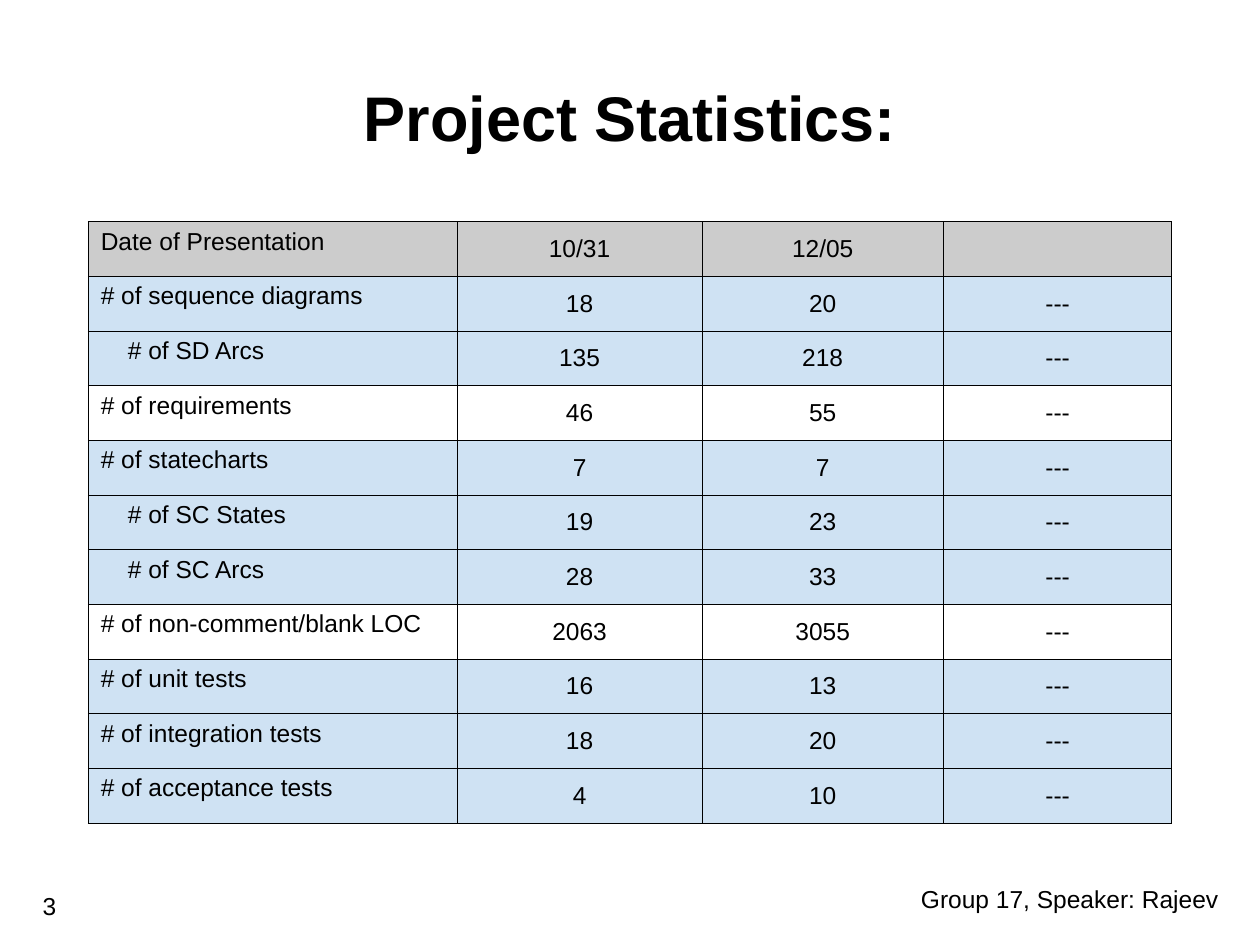
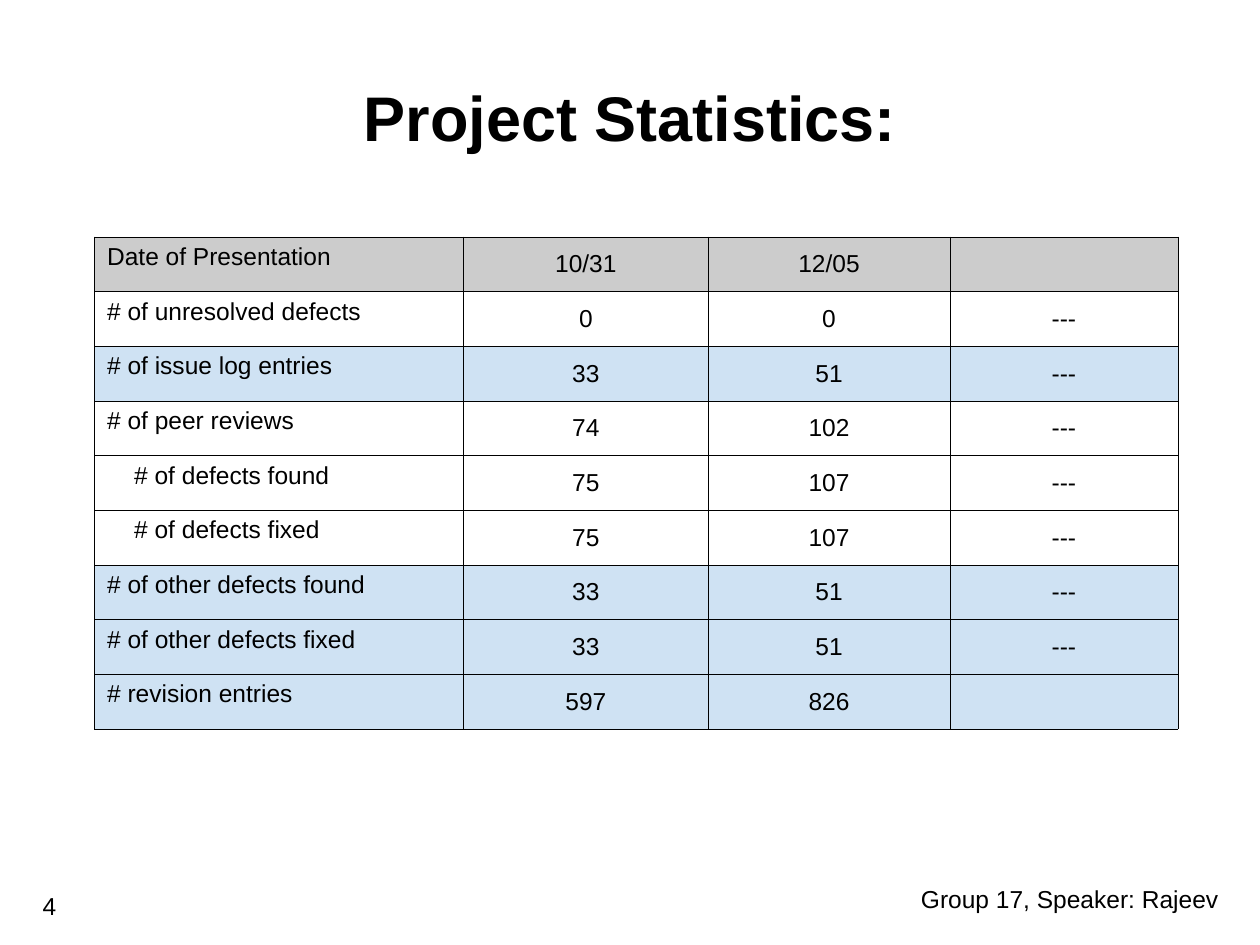
from dataclasses import dataclass

from lxml import etree
from pptx import Presentation
from pptx.dml.color import RGBColor
from pptx.enum.text import MSO_ANCHOR, MSO_AUTO_SIZE, PP_ALIGN
from pptx.oxml.ns import qn
from pptx.util import Inches, Pt

LEFT, CENTER, RIGHT = PP_ALIGN.LEFT, PP_ALIGN.CENTER, PP_ALIGN.RIGHT
TOP, MIDDLE = MSO_ANCHOR.TOP, MSO_ANCHOR.MIDDLE
FIXED, GROW = MSO_AUTO_SIZE.NONE, MSO_AUTO_SIZE.SHAPE_TO_FIT_TEXT
TITLE_ONLY = 5
GRID_COLUMNS, GRID_ROWS = 100, 75


@dataclass(frozen=True)
class Theme:
    font: str = "Arial"
    ink: str = "000000"
    header: str = "CCCCCC"
    shade: str = "CFE2F3"
    title_size: int = 36
    body_size: int = 14
    border: float = 0.34


@dataclass(frozen=True)
class Statistic:
    label: str
    october: int
    december: int
    shaded: bool = True
    nested: bool = False
    upcoming: str = "---"


DATES = ("Date of Presentation", "10/31", "12/05", "")
TABLE_COLUMNS = (29.3, 19.4, 19.2, 18.1)
TABLE_ROW = 4.34
NESTED_INDENT = 2.15

ARTIFACTS = (
    Statistic("# of sequence diagrams", 18, 20),
    Statistic("# of SD Arcs", 135, 218, nested=True),
    Statistic("# of requirements", 46, 55, shaded=False),
    Statistic("# of statecharts", 7, 7),
    Statistic("# of SC States", 19, 23, nested=True),
    Statistic("# of SC Arcs", 28, 33, nested=True),
    Statistic("# of non-comment/blank LOC", 2063, 3055, shaded=False),
    Statistic("# of unit tests", 16, 13),
    Statistic("# of integration tests", 18, 20),
    Statistic("# of acceptance tests", 4, 10),
)
DEFECTS = (
    Statistic("# of unresolved defects", 0, 0, shaded=False),
    Statistic("# of issue log entries", 33, 51),
    Statistic("# of peer reviews", 74, 102, shaded=False),
    Statistic("# of defects found", 75, 107, shaded=False, nested=True),
    Statistic("# of defects fixed", 75, 107, shaded=False, nested=True),
    Statistic("# of other defects found", 33, 51),
    Statistic("# of other defects fixed", 33, 51),
    Statistic("# revision entries", 597, 826, upcoming=""),
)


class Deck:
    """Builds slides on a 100 by 75 grid in one theme."""

    def __init__(self, theme):
        self.theme = theme
        self.presentation = Presentation()
        self.presentation.slide_width = Inches(10)
        self.presentation.slide_height = Inches(7.5)
        self.slide = None

    def x(self, columns):
        return round(self.presentation.slide_width * columns / GRID_COLUMNS)

    def y(self, rows):
        return round(self.presentation.slide_height * rows / GRID_ROWS)

    def box(self, left, top, width, height):
        return self.x(left), self.y(top), self.x(width), self.y(height)

    def add_text(self, frame, text, align=LEFT, size=None, bold=False):
        paragraph = frame.paragraphs[0]
        paragraph.alignment = align
        if text:
            run = paragraph.add_run()
            run.text = text
            run.font.name = self.theme.font
            run.font.size = Pt(size or self.theme.body_size)
            run.font.bold = bold
            run.font.color.rgb = RGBColor.from_string(self.theme.ink)

    def fit(self, frame, anchor, auto_size, vertical_inset):
        frame.word_wrap = True
        frame.auto_size = auto_size
        frame.vertical_anchor = anchor
        frame.margin_left = frame.margin_right = self.x(1)
        frame.margin_top = frame.margin_bottom = self.y(vertical_inset)

    def title(self, text):
        layout = self.presentation.slide_layouts[TITLE_ONLY]
        self.slide = self.presentation.slides.add_slide(layout)
        title = self.slide.shapes.title
        title.left, title.top, title.width, title.height = self.box(5, 3, 90, 12.5)
        self.fit(title.text_frame, MIDDLE, FIXED, 1)
        self.add_text(title.text_frame, text, CENTER, self.theme.title_size, True)

    def note(self, text, left, top, width, height, align=LEFT, vertical_inset=1):
        note = self.slide.shapes.add_textbox(*self.box(left, top, width, height))
        self.fit(note.text_frame, TOP, GROW, vertical_inset)
        self.add_text(note.text_frame, text, align)

    def footer(self, number):
        self.note("Group 17, Speaker: Rajeev", 70.9, 69.2, 26.8, 4.3, RIGHT)
        self.note(str(number), 2.4, 70.2, 4.4, 3.4, vertical_inset=0.5)

    def outline(self, cell):
        properties = cell._tc.get_or_add_tcPr()
        for side in ("a:lnL", "a:lnR", "a:lnT", "a:lnB"):
            line = etree.SubElement(properties, qn(side), w=str(Pt(self.theme.border)))
            fill = etree.SubElement(line, qn("a:solidFill"))
            etree.SubElement(fill, qn("a:srgbClr"), val=self.theme.ink)

    def table_row(self, cells, texts, color, nested=False):
        for column, (cell, text) in enumerate(zip(cells, texts)):
            self.outline(cell)
            if color:
                cell.fill.solid()
                cell.fill.fore_color.rgb = RGBColor.from_string(color)
            else:
                cell.fill.background()
            cell.vertical_anchor = MIDDLE if column else TOP
            if nested and column == 0:
                cell.margin_left = self.x(1 + NESTED_INDENT)
            self.add_text(cell.text_frame, text, CENTER if column else LEFT)

    def table(self, statistics, left, top):
        count = len(statistics) + 1
        frame = self.slide.shapes.add_table(
            count, len(TABLE_COLUMNS),
            *self.box(left, top, sum(TABLE_COLUMNS), count * TABLE_ROW))
        table = frame.table
        table.first_row = table.horz_banding = False
        for column, width in zip(table.columns, TABLE_COLUMNS):
            column.width = self.x(width)
        for row in table.rows:
            row.height = self.y(TABLE_ROW)
        header, *body = table.rows
        self.table_row(header.cells, DATES, self.theme.header)
        for row, entry in zip(body, statistics):
            texts = (entry.label, str(entry.october), str(entry.december), entry.upcoming)
            color = self.theme.shade if entry.shaded else None
            self.table_row(row.cells, texts, color, entry.nested)


def main():
    deck = Deck(Theme())
    pages = ((3, ARTIFACTS, 7, 17.6), (4, DEFECTS, 7.5, 18.8))
    for number, statistics, left, top in pages:
        deck.title("Project Statistics:")
        deck.table(statistics, left, top)
        deck.footer(number)
    deck.presentation.save("out.pptx")


if __name__ == "__main__":
    main()
